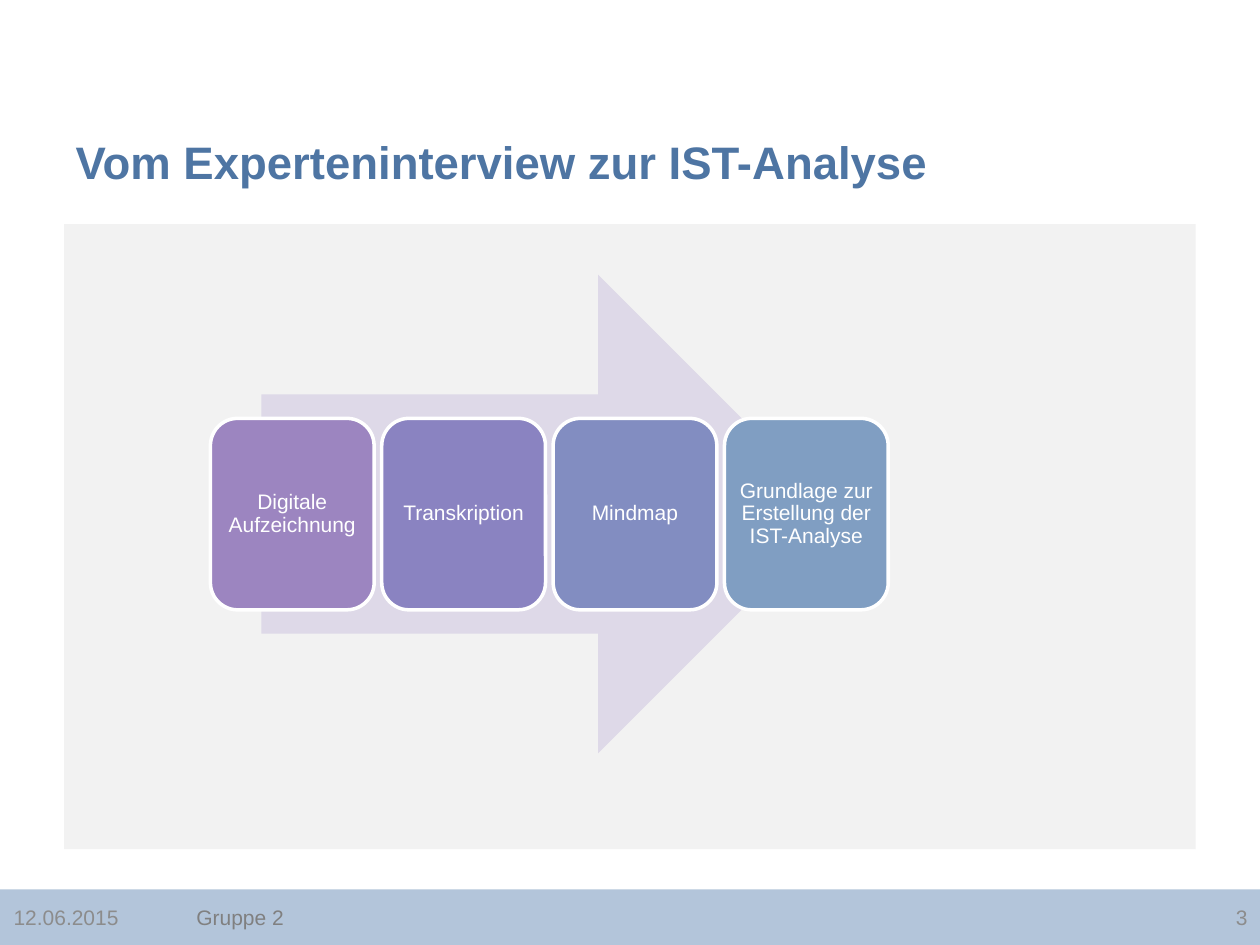
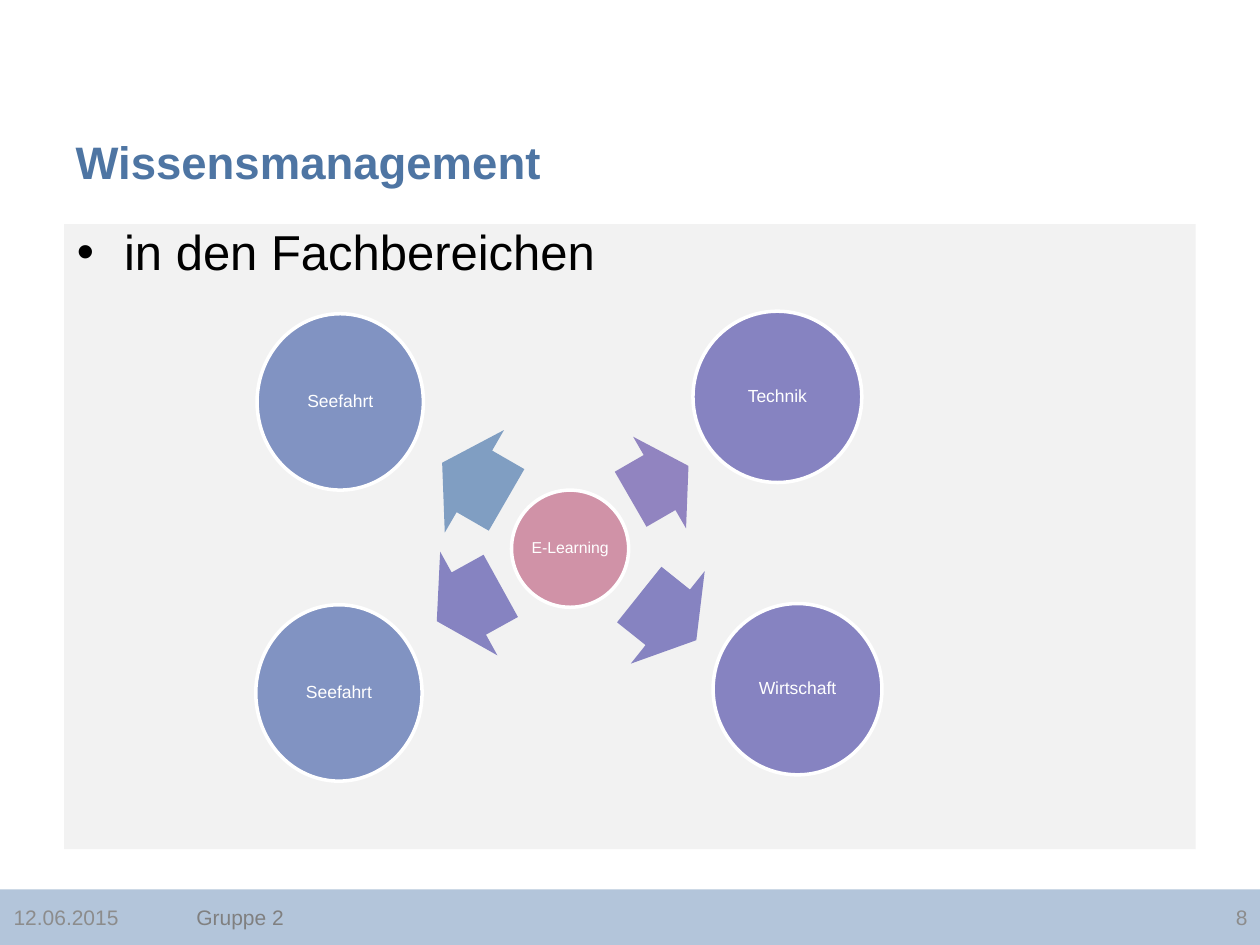
from pptx import Presentation
from pptx.dml.color import RGBColor
from pptx.enum import shapes, text
from pptx.util import Inches, Pt

FONT = "Arial"
WHITE = RGBColor(0xFF, 0xFF, 0xFF)
BLACK = RGBColor(0x00, 0x00, 0x00)
TITLE_BLUE = RGBColor(0x4E, 0x75, 0xA3)
PANEL_GREY = RGBColor(0xF2, 0xF2, 0xF2)
BAND_BLUE = RGBColor(0xB3, 0xC5, 0xDA)
FOOTER_LIGHT = RGBColor(0x8C, 0x8C, 0x8C)
FOOTER_DARK = RGBColor(0x80, 0x80, 0x80)
PALE_LILAC = RGBColor(0xDE, 0xD9, 0xE8)
ORCHID = RGBColor(0x9C, 0x85, 0xC0)
VIOLET = RGBColor(0x8A, 0x83, 0xC1)
PERIWINKLE = RGBColor(0x82, 0x8D, 0xC1)
STEEL = RGBColor(0x80, 0x9E, 0xC2)
ROSE = RGBColor(0xD0, 0x92, 0xA7)
INDIGO = RGBColor(0x86, 0x83, 0xC1)
LAVENDER = RGBColor(0x91, 0x84, 0xC0)
SEA_BLUE = RGBColor(0x81, 0x93, 0xC2)

# Boxes are left, top, width, height in inches.
PANEL = (0.51, 1.78, 8.98, 4.96)
BAND = (0, 7.06, 10, 0.44)
TITLE = (0.5, 0.3, 9, 1.25)
BODY = (0.51, 1.71, 9, 4.92)
PROCESS = (1.67, 2.18, 5.38, 3.8)
HUB_DIAGRAM = (2.03, 2.47, 4.97, 3.73)

MIDDLE = text.MSO_ANCHOR.MIDDLE
LEFT, CENTER, RIGHT = text.PP_ALIGN.LEFT, text.PP_ALIGN.CENTER, text.PP_ALIGN.RIGHT
SHAPE = shapes.MSO_SHAPE


def write(shape, words, size, color, align=LEFT, anchor=MIDDLE, bold=False, inset=None):
    frame = shape.text_frame
    frame.text = words
    frame.word_wrap = True
    frame.auto_size = text.MSO_AUTO_SIZE.NONE
    frame.vertical_anchor = anchor
    if inset is not None:
        frame.margin_left = frame.margin_right = Inches(inset)
        frame.margin_top = frame.margin_bottom = Inches(inset)
    paragraph = frame.paragraphs[0]
    paragraph.alignment = align
    for run in paragraph.runs:
        run.font.name = FONT
        run.font.size = Pt(size)
        run.font.bold = bold
        run.font.color.rgb = color
    return paragraph


def place(placeholder, box):
    placeholder.left, placeholder.top, placeholder.width, placeholder.height = map(Inches, box)


def add_flat(slide, preset, box, fill, outlined=False):
    shape = slide.shapes.add_shape(preset, *map(Inches, box))
    shape.shadow.inherit = False
    shape.fill.solid()
    shape.fill.fore_color.rgb = fill
    if outlined:
        shape.line.color.rgb = WHITE
        shape.line.width = Pt(2)
    else:
        shape.line.fill.background()
    return shape


def add_node(slide, preset, box, fill, label, size, inset):
    """Add a white-rimmed shape with a centred label."""
    node = add_flat(slide, preset, box, fill, outlined=True)
    write(node, label, size, WHITE, CENTER, inset=inset).line_spacing = 0.9


def move_backdrop_to_master(prs, slide):
    """Give the master the grey panel and footer band that every slide shows."""
    backdrop = ((PANEL, PANEL_GREY), (BAND, BAND_BLUE))
    for index, (box, fill) in enumerate(backdrop):
        element = add_flat(slide, SHAPE.RECTANGLE, box, fill).element
        element.nvSpPr.cNvPr.set("id", str(100 + index))
        prs.slide_master.shapes.element.insert(2 + index, element)


def add_footer(slide, box, number):
    left, top, _, height = box
    parts = (
        (0.01, 1.44, "12.06.2015", FOOTER_LIGHT, LEFT),
        (1.46, 7.48, "Gruppe 2", FOOTER_DARK, LEFT),
        (8.94, 1.06, str(number), FOOTER_LIGHT, RIGHT),
    )
    for offset, width, words, color, align in parts:
        field = slide.shapes.add_textbox(*map(Inches, (left + offset, top, width, height)))
        write(field, words, 12, color, align)


def add_slide(prs, layout, title, number):
    slide = prs.slides.add_slide(prs.slide_layouts[layout])
    place(slide.shapes.title, TITLE)
    write(slide.shapes.title, title, 26, TITLE_BLUE,
          anchor=text.MSO_ANCHOR.BOTTOM, bold=True)
    add_footer(slide, BAND, number)
    return slide


def add_process(slide, box):
    """Draw the steps in a row on a broad arrow."""
    left, top, width, height = box
    steps = (
        ("Digitale Aufzeichnung", ORCHID),
        ("Transkription", VIOLET),
        ("Mindmap", PERIWINKLE),
        ("Grundlage zur Erstellung der IST-Analyse", STEEL),
    )
    arrow_width = 0.85 * width
    add_flat(slide, SHAPE.RIGHT_ARROW,
             (left + (width - arrow_width) / 2, top, arrow_width, height), PALE_LILAC)
    step_width, step_height = 1.3, 0.4 * height
    pitch = (width - step_width) / (len(steps) - 1)
    for index, (label, fill) in enumerate(steps):
        step_box = (left + index * pitch, top + (height - step_height) / 2,
                    step_width, step_height)
        add_node(slide, SHAPE.ROUNDED_RECTANGLE, step_box, fill, label, 12, 0.05)


def add_hub_diagram(slide, box):
    """Draw the hub, its departments and the arrows out to them."""
    left, top = box[:2]
    sea_size, land_size = (1.32, 1.4), (1.34, 1.36)
    circles = (
        ("E-Learning", 2.03, 1.42, (0.93, 0.93), ROSE, 9, 0.02),
        ("Wirtschaft", 3.63, 2.32, land_size, INDIGO, 10, 0.01),
        ("Seefahrt", 0, 2.33, sea_size, SEA_BLUE, 10, 0.01),
        ("Technik", 3.47, 0, land_size, INDIGO, 10, 0.01),
        ("Seefahrt", 0.01, 0.02, sea_size, SEA_BLUE, 10, 0.01),
    )
    arrows = (
        (2.98, 1.96, 0.58, 0.94, 38.6, INDIGO),
        (1.44, 0.88, 0.59, 0.94, 210, STEEL),
        (2.94, 0.94, 0.53, 0.84, 330, LAVENDER),
        (1.4, 1.85, 0.58, 0.94, 151.1, INDIGO),
    )
    for label, x, y, size, fill, points, inset in circles:
        add_node(slide, SHAPE.OVAL, (left + x, top + y, *size), fill, label, points, inset)
    for x, y, width, height, angle, fill in arrows:
        arrow = add_flat(slide, SHAPE.RIGHT_ARROW, (left + x, top + y, width, height), fill)
        arrow.adjustments[0] = 0.6
        arrow.adjustments[1] = 0.5
        arrow.rotation = angle


def main():
    prs = Presentation()
    prs.slide_width, prs.slide_height = Inches(10), Inches(7.5)

    analysis = add_slide(prs, 5, "Vom Experteninterview zur IST-Analyse", 3)
    move_backdrop_to_master(prs, analysis)
    add_process(analysis, PROCESS)

    knowledge = add_slide(prs, 1, "Wissensmanagement", 8)
    topics = knowledge.placeholders[1]
    place(topics, BODY)
    write(topics, "in den Fachbereichen", 28, BLACK, anchor=text.MSO_ANCHOR.TOP)
    add_hub_diagram(knowledge, HUB_DIAGRAM)

    prs.save("out.pptx")


if __name__ == "__main__":
    main()
